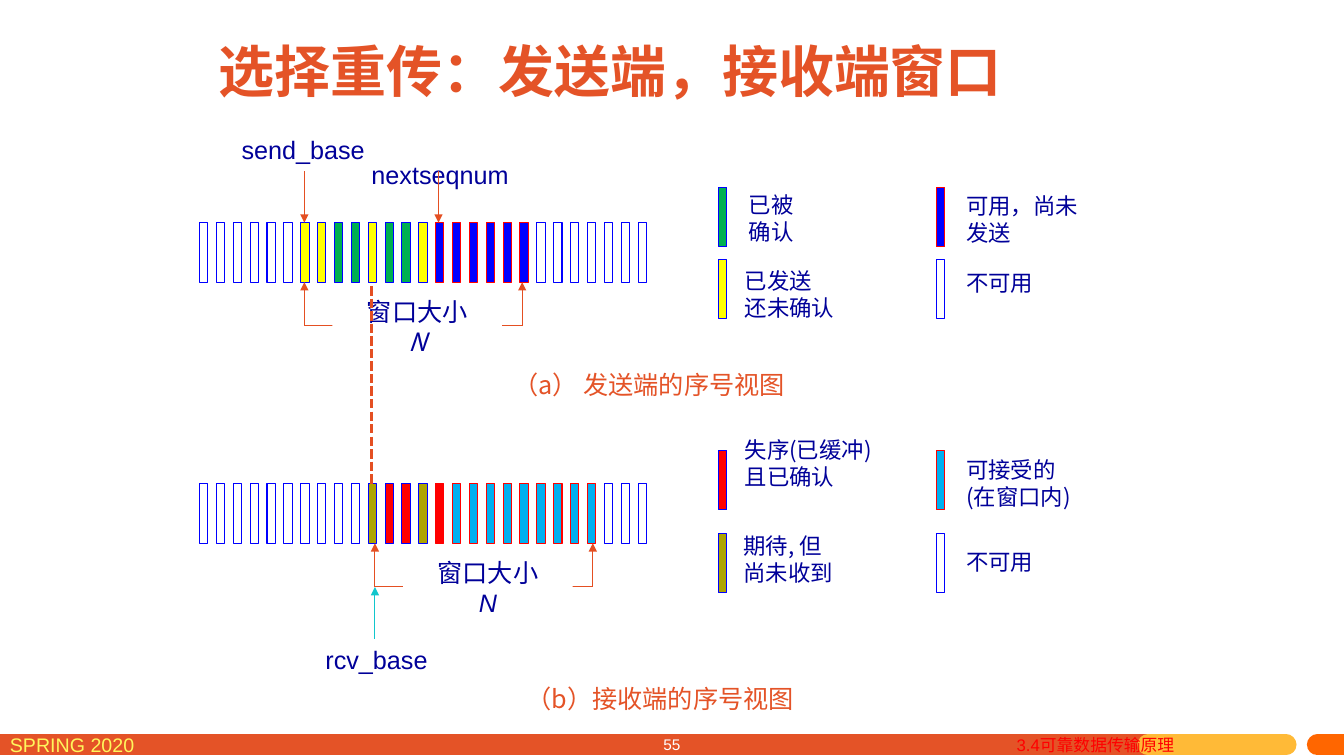
from dataclasses import dataclass

from lxml import etree
from pptx import Presentation
from pptx.dml.color import RGBColor
from pptx.enum.dml import MSO_LINE
from pptx.enum.shapes import MSO_CONNECTOR, MSO_SHAPE
from pptx.enum.text import MSO_ANCHOR, MSO_AUTO_SIZE, PP_ALIGN
from pptx.oxml.ns import qn
from pptx.util import Cm, Pt

LEFT, CENTER, RIGHT = PP_ALIGN.LEFT, PP_ALIGN.CENTER, PP_ALIGN.RIGHT
TOP, MIDDLE = MSO_ANCHOR.TOP, MSO_ANCHOR.MIDDLE
RECT, STRAIGHT, DASH = MSO_SHAPE.RECTANGLE, MSO_CONNECTOR.STRAIGHT, MSO_LINE.SQUARE_DOT


@dataclass(frozen=True)
class Theme:
    latin: str = "Arial"
    cjk: str = "Noto Sans CJK SC"
    title: int = 40
    label: int = 18
    legend: int = 16
    term: int = 14
    section: int = 12
    number: int = 11
    orange: str = "E45327"
    arrow: str = "E44F22"
    teal: str = "11C6CC"
    navy: str = "000099"
    amber: str = "FFBA37"
    bright: str = "FF6600"
    lemon: str = "FFF65C"
    white: str = "FFFFFF"
    red: str = "FF0000"
    blue: str = "0000FF"


T = Theme()

# Packet states: fill and outline
STATES = {
    "unusable": (T.white, T.blue),
    "acked": ("00B050", T.blue),
    "sent": ("FFFF00", T.blue),
    "usable": (T.blue, T.red),
    "expected": ("AEA400", T.blue),
    "buffered": (T.red, T.blue),
    "buffered_last": (T.red, T.red),
    "acceptable": ("00B0F0", T.red),
}

# Runs of consecutive packets, left to right
SENDER = [("unusable", 6), ("sent", 2), ("acked", 2), ("sent", 1), ("acked", 2),
          ("sent", 1), ("usable", 6), ("unusable", 7)]
RECEIVER = [("unusable", 10), ("expected", 1), ("buffered", 2), ("expected", 1),
            ("buffered_last", 1), ("acceptable", 9), ("unusable", 3)]

# Geometry in centimetres
ROW_LEFT, PITCH, BAR_W, BAR_H = 5.03, 11.05 / 26, 0.21, 1.5
SENDER_TOP, RECEIVER_TOP = 5.61, 12.19
SEND_X, NEXT_X, RCV_X = 7.67, 11.05, 9.45

# Legend: state, key left and top, text left, top and width, lines
LEGEND = [
    ("acked", 18.11, 4.72, 18.62, 4.7, 3.45, ["已被", "确认"]),
    ("sent", 18.11, 6.53, 18.52, 6.6, 3.45, ["已发送", "还未确认"]),
    ("usable", 23.6, 4.72, 24.1, 4.72, 3.84, ["可用，尚未发送"]),
    ("unusable", 23.6, 6.53, 24.1, 6.65, 3.84, ["不可用"]),
    ("buffered", 18.11, 11.35, 18.52, 10.87, 5.05, ["失序(已缓冲)", "且已确认"]),
    ("expected", 18.11, 13.44, 18.49, 13.28, 4.37, ["期待, 但", "尚未收到"]),
    ("acceptable", 23.6, 11.35, 24.1, 11.38, 5.03, ["可接受的", "(在窗口内)"]),
    ("unusable", 23.6, 13.44, 24.1, 13.69, 3.84, ["不可用"]),
]


def add_run(p, text, size, color, font, bold=False, italic=False):
    r = p.add_run()
    r.text = text
    r.font.name = font
    r.font.size = Pt(size)
    r.font.bold = bold
    r.font.italic = italic
    r.font.color.rgb = RGBColor.from_string(color)
    latin = r.font._element.find(qn("a:latin"))
    ea = etree.Element(qn("a:ea"), typeface=T.cjk)
    latin.addnext(ea)


def add_text(s, x, y, w, h, lines, size=T.label, color=T.navy, font=T.cjk,
             align=LEFT, fill=None, italic_last=False):
    sp = s.shapes.add_textbox(Cm(x), Cm(y), Cm(w), Cm(h))
    if fill:
        sp.fill.solid()
        sp.fill.fore_color.rgb = RGBColor.from_string(fill)
    tf = sp.text_frame
    tf.word_wrap = True
    tf.vertical_anchor = TOP
    for i, line in enumerate(lines):
        p = tf.add_paragraph() if i else tf.paragraphs[0]
        p.alignment = align
        add_run(p, line, size, color, font,
                italic=italic_last and i == len(lines) - 1)
    return sp


def add_line(s, x1, y1, x2, y2, color=T.arrow, width=0.75, arrow=False,
             dash=None, round_cap=False):
    sp = s.shapes.add_connector(STRAIGHT, Cm(x1), Cm(y1), Cm(x2), Cm(y2))
    sp.line.color.rgb = RGBColor.from_string(color)
    sp.line.width = Pt(width)
    if dash:
        sp.line.dash_style = dash
    ln = sp.line._get_or_add_ln()
    if round_cap:
        ln.set("cap", "rnd")
    if arrow:
        etree.SubElement(ln, qn("a:tailEnd"), type="triangle")
    etree.SubElement(sp._element.spPr, qn("a:effectLst"))


def add_bar(s, x, y, state):
    fill, outline = STATES[state]
    sp = s.shapes.add_shape(RECT, Cm(x), Cm(y), Cm(BAR_W), Cm(BAR_H))
    sp.shadow.inherit = False
    sp.fill.solid()
    sp.fill.fore_color.rgb = RGBColor.from_string(fill)
    sp.line.color.rgb = RGBColor.from_string(outline)
    sp.line.width = Pt(0.75)


def add_row(s, y, runs):
    states = [state for state, count in runs for _ in range(count)]
    for i, state in enumerate(states):
        add_bar(s, ROW_LEFT + i * PITCH, y, state)


def add_window(s, x, row_top, font):
    right, bottom = x + 5.49, row_top + 2.6
    add_line(s, x, bottom, right, bottom)
    for side in (x, right):
        add_line(s, side, bottom, side, row_top + BAR_H, arrow=True)
    add_text(s, x + 0.71, row_top + 1.72, 4.27, 1.8, ["窗口大小", "N"],
             font=font, align=CENTER, fill=T.white, italic_last=True)


def add_title(s, text):
    sp = s.shapes.title
    sp.left, sp.top, sp.width, sp.height = Cm(5.03), Cm(0.51), Cm(20.7), Cm(2.49)
    tf = sp.text_frame
    tf.word_wrap = True
    tf.auto_size = MSO_AUTO_SIZE.NONE
    tf.vertical_anchor = MIDDLE
    p = tf.paragraphs[0]
    p.alignment = CENTER
    add_run(p, text, T.title, T.orange, T.cjk, bold=True)


def add_footer(s):
    for x1, x2, color in ((0, 28.93, T.orange), (28.93, 32.41, T.amber),
                          (33.2, 33.87, T.bright)):
        add_line(s, x1, 18.77, x2, 18.77, color, 15, round_cap=True)
    add_text(s, 0, 18.34, 5.82, 0.79, ["SPRING 2020"], T.term, T.lemon, T.latin)
    number = add_text(s, 10.82, 18.59, 6.58, 0.46, ["55"], T.number, T.white,
                      T.latin, RIGHT)
    number.text_frame.vertical_anchor = MIDDLE
    number.text_frame.margin_top = Cm(0)
    add_text(s, 25.37, 18.39, 7.65, 0.79, ["3.4可靠数据传输原理"], T.section,
             T.red, T.latin)


def main():
    prs = Presentation()
    prs.slide_width, prs.slide_height = Cm(33.87), Cm(19.05)
    s = prs.slides.add_slide(prs.slide_layouts[5])
    add_footer(s)
    add_title(s, "选择重传：发送端，接收端窗口")

    # Sender view
    add_text(s, 9.02, 3.89, 4.14, 1.02, ["nextseqnum"], font=T.latin,
             align=CENTER, fill=T.white)
    add_text(s, 5.72, 3.25, 3.84, 1.02, ["send_base"], font=T.latin, align=CENTER)
    add_row(s, SENDER_TOP, SENDER)
    add_window(s, SEND_X, SENDER_TOP, T.cjk)
    for x in (SEND_X, NEXT_X):
        add_line(s, x, 4.32, x, SENDER_TOP, arrow=True)
    add_text(s, 10.26, 9.17, 12.19, 1.02, ["（a） 发送端的序号视图"],
             color=T.orange, align=CENTER)

    # Receiver view
    add_row(s, RECEIVER_TOP, RECEIVER)
    add_window(s, RCV_X, RECEIVER_TOP, T.latin)
    add_line(s, RCV_X, 16.1, RCV_X, 14.79, T.teal, arrow=True)
    add_text(s, 7.57, 16.1, 3.84, 1.02, ["rcv_base"], font=T.latin, align=CENTER)
    add_text(s, 10.54, 17.09, 12.19, 1.02, ["（b）接收端的序号视图"],
             color=T.orange, align=CENTER)

    # Legend
    for state, key_x, key_y, x, y, w, lines in LEGEND:
        add_bar(s, key_x, key_y, state)
        add_text(s, x, y, w, 0.94 if len(lines) == 1 else 1.63, lines, T.legend)

    # Link between the two views
    add_line(s, 9.37, 7.21, 9.37, RECEIVER_TOP, width=2.25, dash=DASH)
    prs.save("out.pptx")


if __name__ == "__main__":
    main()
